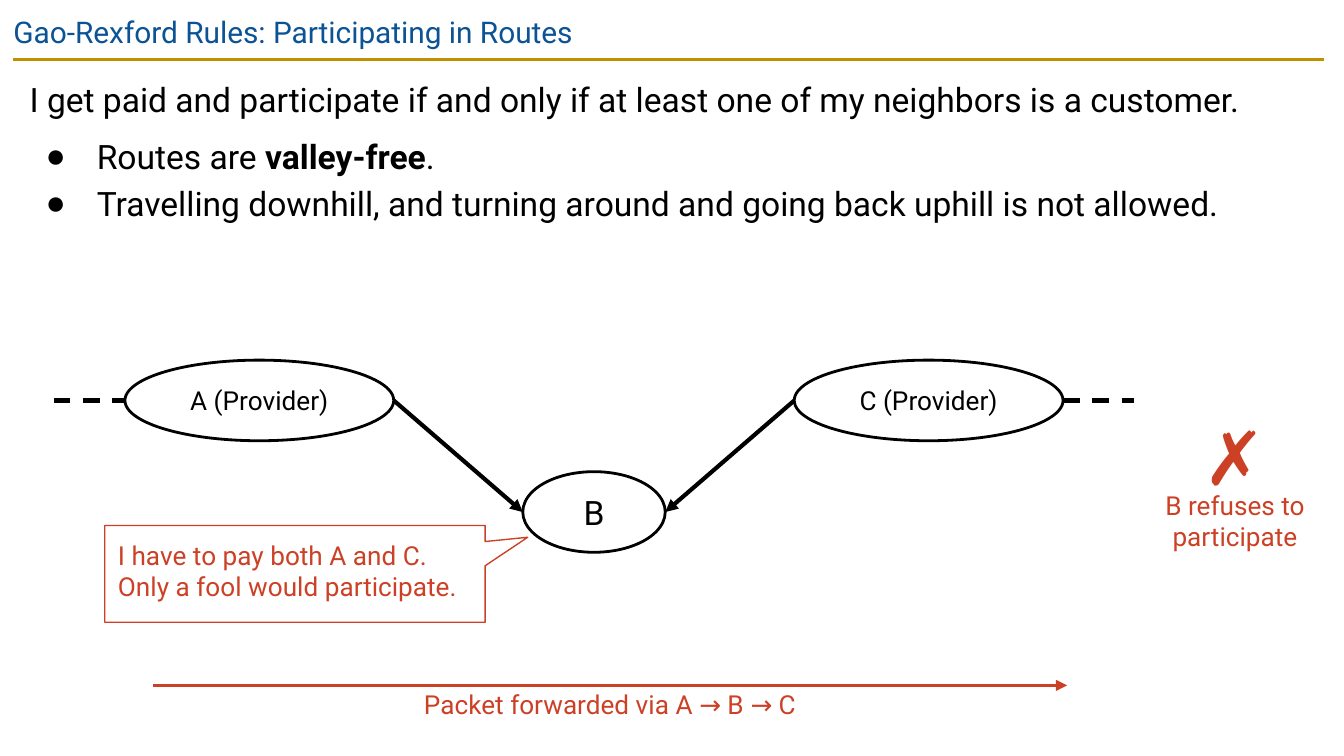
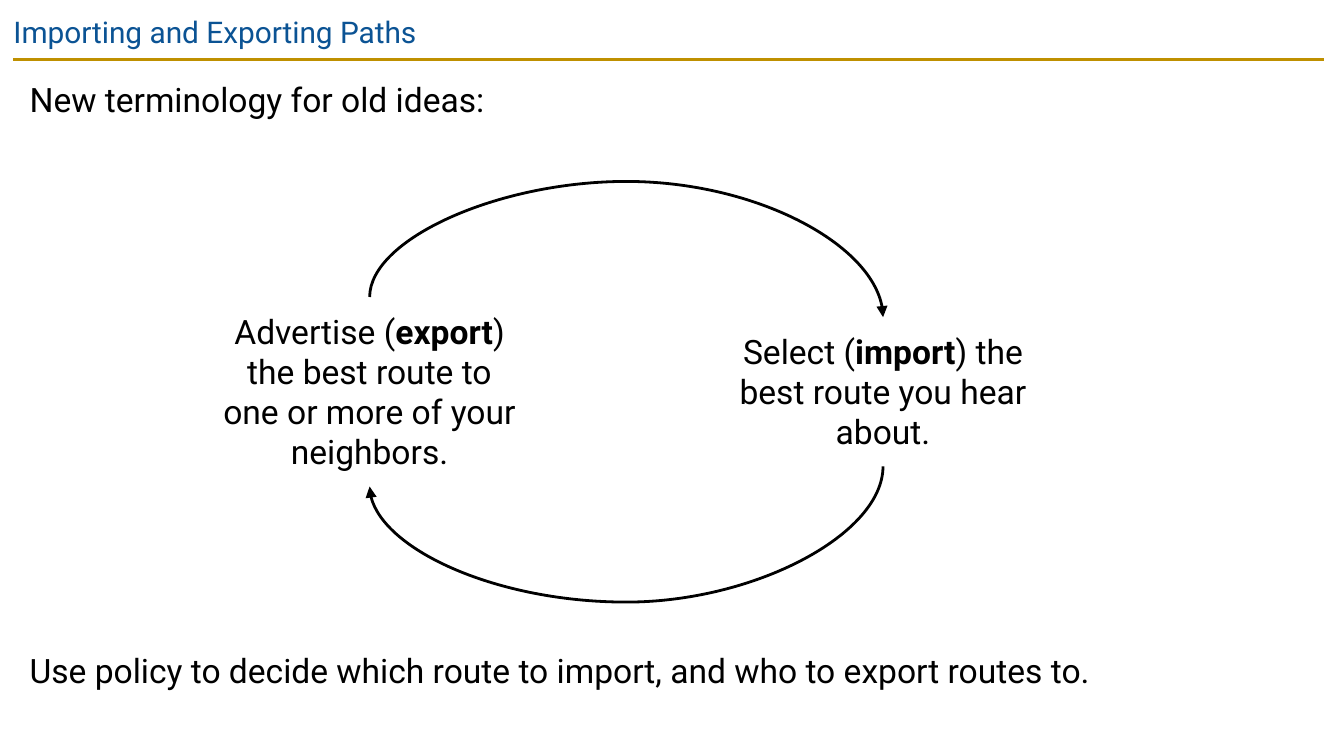
from lxml import etree
from pptx import Presentation
from pptx.dml.color import RGBColor
from pptx.enum.dml import MSO_LINE
from pptx.enum.shapes import MSO_CONNECTOR, MSO_SHAPE
from pptx.enum.text import MSO_ANCHOR, MSO_AUTO_SIZE, PP_ALIGN
from pptx.oxml.ns import qn
from pptx.util import Inches, Pt

STRAIGHT, CURVE = MSO_CONNECTOR.STRAIGHT, MSO_CONNECTOR.CURVE
ELLIPSE, CALLOUT = MSO_SHAPE.OVAL, MSO_SHAPE.ROUNDED_RECTANGULAR_CALLOUT
LEFT, CENTER = PP_ALIGN.LEFT, PP_ALIGN.CENTER
TOP, MIDDLE = MSO_ANCHOR.TOP, MSO_ANCHOR.MIDDLE
NO_FIT, DASH = MSO_AUTO_SIZE.NONE, MSO_LINE.DASH

BLACK, BLUE, GOLD, RED = "000000", "0B5394", "BF9000", "CC4125"
FONT = "Roboto"

# Square grid cells, 100 columns across the slide
WIDTH, HEIGHT = Inches(10), Inches(5.625)
CELL = WIDTH / 100
INSET = 1
TITLE_BOX = (0, 0, 93.2, 4.3)
RULE = (1, 4.4, 98.5, 4.4)
BODY_X, BODY_Y, BODY_W = 1.2, 4.4, 97.4


def grid(*cells):
    return [round(c * CELL) for c in cells]


def color(hex_code):
    return RGBColor.from_string(hex_code)


def format_frame(shape, inset_x=INSET, inset_y=INSET, anchor=TOP):
    tf = shape.text_frame
    tf.word_wrap = True
    tf.auto_size = NO_FIT
    tf.vertical_anchor = anchor
    tf.margin_left = tf.margin_right = grid(inset_x)[0]
    tf.margin_top = tf.margin_bottom = grid(inset_y)[0]
    return tf


def write(p, text, size, hex_code=BLACK, align=LEFT, font=FONT):
    """Fill a paragraph; text between ** marks is bold."""
    p.alignment = align
    for i, part in enumerate(text.split("**")):
        r = p.add_run()
        r.text = part
        r.font.name, r.font.size = font, Pt(size)
        r.font.bold = i % 2 == 1
        r.font.color.rgb = color(hex_code)


def move(shape, box):
    shape.left, shape.top, shape.width, shape.height = grid(*box)


def add_text(s, box, text, size, hex_code=BLACK, font=FONT, inset_x=0, inset_y=0):
    sp = s.shapes.add_textbox(*grid(*box))
    tf = format_frame(sp, inset_x, inset_y)
    write(tf.paragraphs[0], text, size, hex_code, CENTER, font)


def add_outline(s, kind, box, text, size, hex_code, width, align, anchor):
    sp = s.shapes.add_shape(kind, *grid(*box))
    sp.shadow.inherit = False
    sp.fill.background()
    sp.line.color.rgb = color(hex_code)
    sp.line.width = Pt(width)
    write(format_frame(sp, anchor=anchor).paragraphs[0], text, size, hex_code, align)
    return sp


def add_line(s, ends, hex_code=BLACK, width=2.25, arrow=None, dash=None, kind=STRAIGHT):
    """Draw a connector; arrow is "headEnd" (start) or "tailEnd" (finish)."""
    cxn = s.shapes.add_connector(kind, *grid(*ends))
    cxn.line.color.rgb = color(hex_code)
    cxn.line.width = Pt(width)
    if dash:
        cxn.line.dash_style = dash
    sp_pr = cxn._element.spPr
    if arrow:
        etree.SubElement(sp_pr.find(qn("a:ln")), qn("a:" + arrow), type="triangle")
    etree.SubElement(sp_pr, qn("a:effectLst"))
    return cxn


def add_arc(s, x1, y1, x2, y2, peak, arrow):
    """Draw a curve that leaves and arrives vertically and bulges to row peak."""
    cx, cy = (x1 + x2) / 2, (y1 + y2) / 2
    dx, dy = x1 - cx, y1 - cy
    # Ends before the quarter turn to the left
    ends = (cx - dy, cy + dx, cx + dy, cy - dx)
    cxn = add_line(s, ends, width=1.5, arrow=arrow, kind=CURVE)
    sp_pr = cxn._element.spPr
    sp_pr.find(qn("a:xfrm")).set("rot", str(270 * 60000))
    guides = sp_pr.find(qn("a:prstGeom")).get_or_add_avLst()
    bulge = round((peak - y1) / (y2 - y1) * 100000)
    etree.SubElement(guides, qn("a:gd"), name="adj1", fmla=f"val {bulge}")


def format_bullet(p, bulleted):
    pr = p._p.get_or_add_pPr()
    pr.set("marL", str(Inches(0.5) if bulleted else 0))
    pr.set("indent", str(-Inches(0.38) if bulleted else 0))
    if bulleted:
        bullet_color = etree.SubElement(pr, qn("a:buClr"))
        etree.SubElement(bullet_color, qn("a:srgbClr"), val=BLACK)
        etree.SubElement(pr, qn("a:buChar"), char="●")
    else:
        etree.SubElement(pr, qn("a:buNone"))


def fill_body(shape, y, h, paragraphs):
    """Fill a body placeholder from (text, bulleted, space before) entries."""
    move(shape, (BODY_X, y, BODY_W, h))
    tf = format_frame(shape)
    for i, (text, bulleted, before) in enumerate(paragraphs):
        p = tf.add_paragraph() if i else tf.paragraphs[0]
        p.line_spacing = 1.15
        p.space_before, p.space_after = Pt(before), Pt(0)
        format_bullet(p, bulleted)
        write(p, text, 18)


def add_titled_slide(prs, layout, title):
    s = prs.slides.add_slide(prs.slide_layouts.get_by_name(layout))
    for ph in list(s.placeholders):
        if ph.placeholder_format.idx >= 10:
            ph._element.getparent().remove(ph._element)
    add_line(s, RULE, GOLD, 1.5)
    move(s.shapes.title, TITLE_BOX)
    write(format_frame(s.shapes.title).paragraphs[0], title, 16, BLUE)
    return s


def add_valley(s, x, y, w, h):
    """Draw providers A and C above their customer B."""
    node_h, provider_w, b_w, stub = 6, 20, 10.6, 5.3
    a_x, c_x = x + stub, x + w - stub - provider_w
    b_x, b_y = x + (w - b_w) / 2, y + h - node_h
    top, bottom = y + node_h / 2, b_y + node_h / 2
    nodes = [("A (Provider)", a_x, y, provider_w, 14),
             ("C (Provider)", c_x, y, provider_w, 14),
             ("B", b_x, b_y, b_w, 18)]
    for name, left, node_y, node_w, size in nodes:
        add_outline(s, ELLIPSE, (left, node_y, node_w, node_h), name, size,
                    BLACK, 1.5, CENTER, MIDDLE)
    add_line(s, (a_x + provider_w, top, b_x, bottom), arrow="tailEnd")
    add_line(s, (c_x, top, b_x + b_w, bottom), arrow="tailEnd")
    for left in (x, x + w - stub):
        add_line(s, (left, top, left + stub, top), dash=DASH)


def add_objection(s, *box):
    sp = add_outline(s, CALLOUT, box,
                     "I have to pay both A and C. Only a fool would participate.",
                     14, RED, 0.75, LEFT, TOP)
    for i, value in enumerate((0.612, -0.378, 0)):
        sp.adjustments[i] = value


def add_packet_path(s, x, y, w, h):
    add_line(s, (x, y, x + w, y), RED, 1.5, "tailEnd")
    add_text(s, (x, y + 0.2, w, h - 0.2), "Packet forwarded via A → B → C", 14, RED)


def add_refusal(s, x, y, w, h):
    label_h = 4.8
    add_text(s, (x, y, w, 6.7), "✗", 40, RED, "Arial", INSET)
    add_text(s, (x, y + h - label_h, w, label_h),
             "B refuses to participate", 14, RED)


def add_route_cycle(s, x, y, w, h):
    """Draw the two steps side by side, joined by arcs above and below."""
    step_w, export_h, import_h, rise = 24, 14.1, 11.1, 8.6
    mid = y + h / 2
    export_x, import_x = x + step_w / 2, x + w - step_w / 2
    steps = [(export_x, export_h, "Advertise (**export**) the best route to one or more of your neighbors."),
             (import_x, import_h, "Select (**import**) the best route you hear about.")]
    for cx, step_h, text in steps:
        add_text(s, (cx - step_w / 2, mid - step_h / 2, step_w, step_h),
                 text, 18, inset_x=INSET, inset_y=INSET)
    for side, arrow in ((-1, "tailEnd"), (1, "headEnd")):
        export_y = mid + side * export_h / 2
        add_arc(s, export_x, export_y, import_x, mid + side * import_h / 2,
                export_y + side * rise, arrow)


def build_participating(prs):
    s = add_titled_slide(prs, "Title and Content",
                         "Gao-Rexford Rules: Participating in Routes")
    fill_body(s.placeholders[1], BODY_Y, 15.7, [
        ("I get paid and participate if and only if at least one of my neighbors is a customer.", False, 6),
        ("Routes are **valley-free**.", True, 6),
        ("Travelling downhill, and turning around and going back uphill is not allowed.", True, 0),
    ])
    add_valley(s, 4, 26.8, 80.4, 14.3)
    add_packet_path(s, 11.4, 51, 68, 2.6)
    add_objection(s, 7.8, 39.1, 28.3, 7.2)
    add_refusal(s, 86.6, 30.6, 10.6, 10.6)


def build_import_export(prs):
    s = add_titled_slide(prs, "Two Content", "Importing and Exporting Paths")
    fill_body(s.placeholders[1], BODY_Y, 7.3,
              [("New terminology for old ideas:", False, 6)])
    add_route_cycle(s, 15.5, 22.1, 62.2, 14.1)
    fill_body(s.placeholders[2], 46.9, 7.3, [
        ("Use policy to decide which route to import, and who to export routes to.", False, 6)])


def main():
    prs = Presentation()
    prs.slide_width, prs.slide_height = WIDTH, HEIGHT
    build_participating(prs)
    build_import_export(prs)
    prs.save("out.pptx")


if __name__ == "__main__":
    main()
